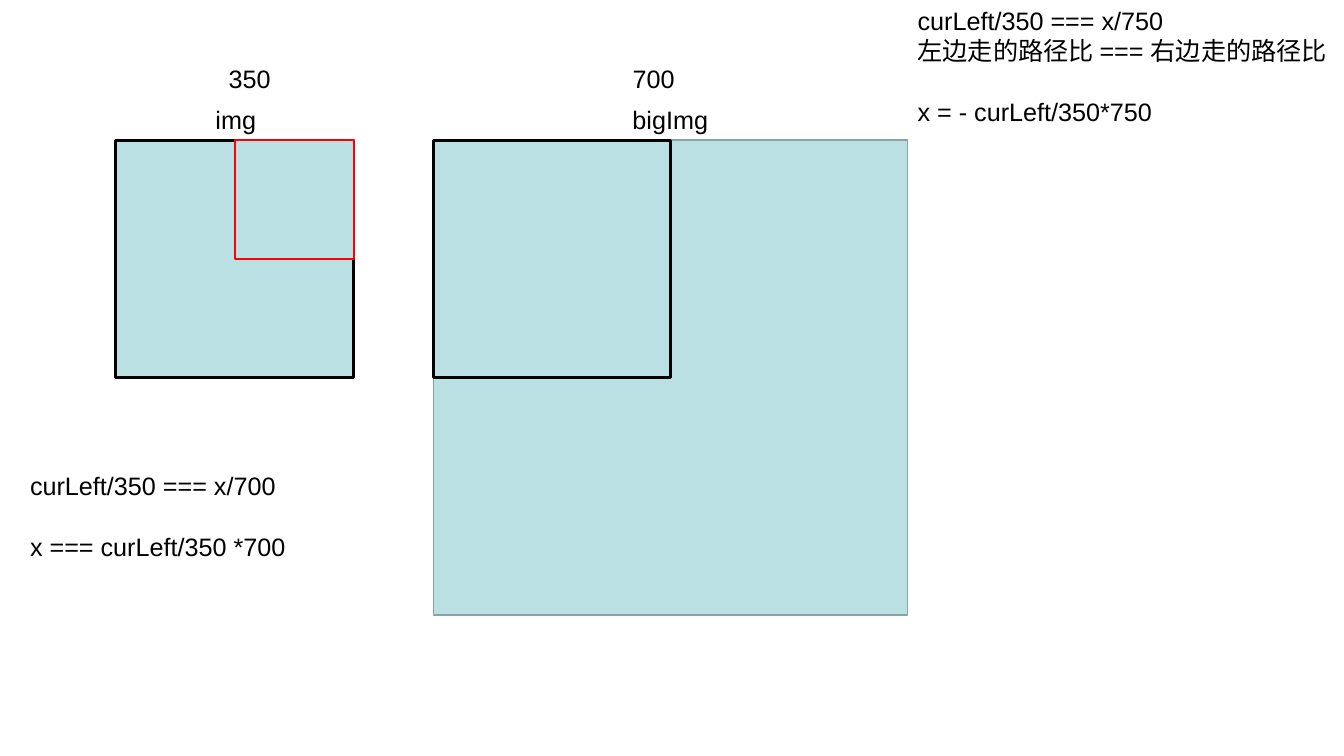
from pptx import Presentation
from pptx.dml.color import RGBColor
from pptx.enum.shapes import MSO_SHAPE
from pptx.enum.text import MSO_AUTO_SIZE
from pptx.util import Inches, Pt

FILL = "BBE0E3"
BLACK = "000000"
SMALL_SIDE = 2.36
LABEL_HEIGHT = 0.4
SIZE_WIDTH = 0.65
TEXT_FORMAT = {"name": "Arial", "size": Pt(18)}


def color(value):
    return RGBColor.from_string(value)


def add_square(slide, left, top, side, line_color, line_width):
    shape = slide.shapes.add_shape(
        MSO_SHAPE.RECTANGLE, Inches(left), Inches(top), Inches(side), Inches(side))
    shape.shadow.inherit = False
    shape.fill.solid()
    shape.fill.fore_color.rgb = color(FILL)
    shape.line.color.rgb = color(line_color)
    shape.line.width = Pt(line_width)


def add_text(slide, left, top, width, height, lines, gap=0):
    """Write the lines, with a gap in points before the last one."""
    box = slide.shapes.add_textbox(
        Inches(left), Inches(top), Inches(width), Inches(height))
    frame = box.text_frame
    frame.word_wrap = False
    frame.auto_size = MSO_AUTO_SIZE.SHAPE_TO_FIT_TEXT
    frame.text = "\n".join(lines)
    for paragraph in frame.paragraphs:
        for name, value in TEXT_FORMAT.items():
            setattr(paragraph.runs[0].font, name, value)
        paragraph.runs[0].font.color.rgb = color(BLACK)
    frame.paragraphs[-1].space_before = Pt(gap)


def add_small_image(slide, left, top):
    add_square(slide, left, top, SMALL_SIDE, BLACK, 2.25)
    # Lens in the upper right quarter
    lens_side = SMALL_SIDE / 2
    add_square(slide, left + SMALL_SIDE - lens_side, top, lens_side, "FF0000", 1.5)
    # Name and size above
    add_text(slide, left + 0.89, top - 0.4, 0.62, LABEL_HEIGHT, ["img"])
    add_text(slide, left + 1.02, top - 0.81, SIZE_WIDTH, LABEL_HEIGHT, ["350"])


def add_big_image(slide, left, top):
    add_square(slide, left, top, 4.71, "89A4A7", 1)
    # Visible window in the upper left corner
    add_square(slide, left, top, SMALL_SIDE, BLACK, 2.25)
    # Name and size above
    add_text(slide, left + 1.88, top - 0.4, 0.97, LABEL_HEIGHT, ["bigImg"])
    add_text(slide, left + 1.88, top - 0.81, SIZE_WIDTH, LABEL_HEIGHT, ["700"])


def add_formulas(slide):
    add_text(slide, 0.2, 4.62, 2.8, 1,
             ["curLeft/350 === x/700", "x === curLeft/350 *700"], gap=21.5)
    add_text(slide, 9.01, 0, 4.4, 1.3,
             ["curLeft/350 === x/750",
              "左边走的路径比 === 右边走的路径比",
              "x = - curLeft/350*750"], gap=22)


def main():
    presentation = Presentation()
    presentation.slide_width = Inches(13.34)
    presentation.slide_height = Inches(7.5)
    slide = presentation.slides.add_slide(presentation.slide_layouts[6])
    add_small_image(slide, 1.15, 1.39)
    add_big_image(slide, 4.3, 1.39)
    add_formulas(slide)
    presentation.save("out.pptx")


if __name__ == "__main__":
    main()
